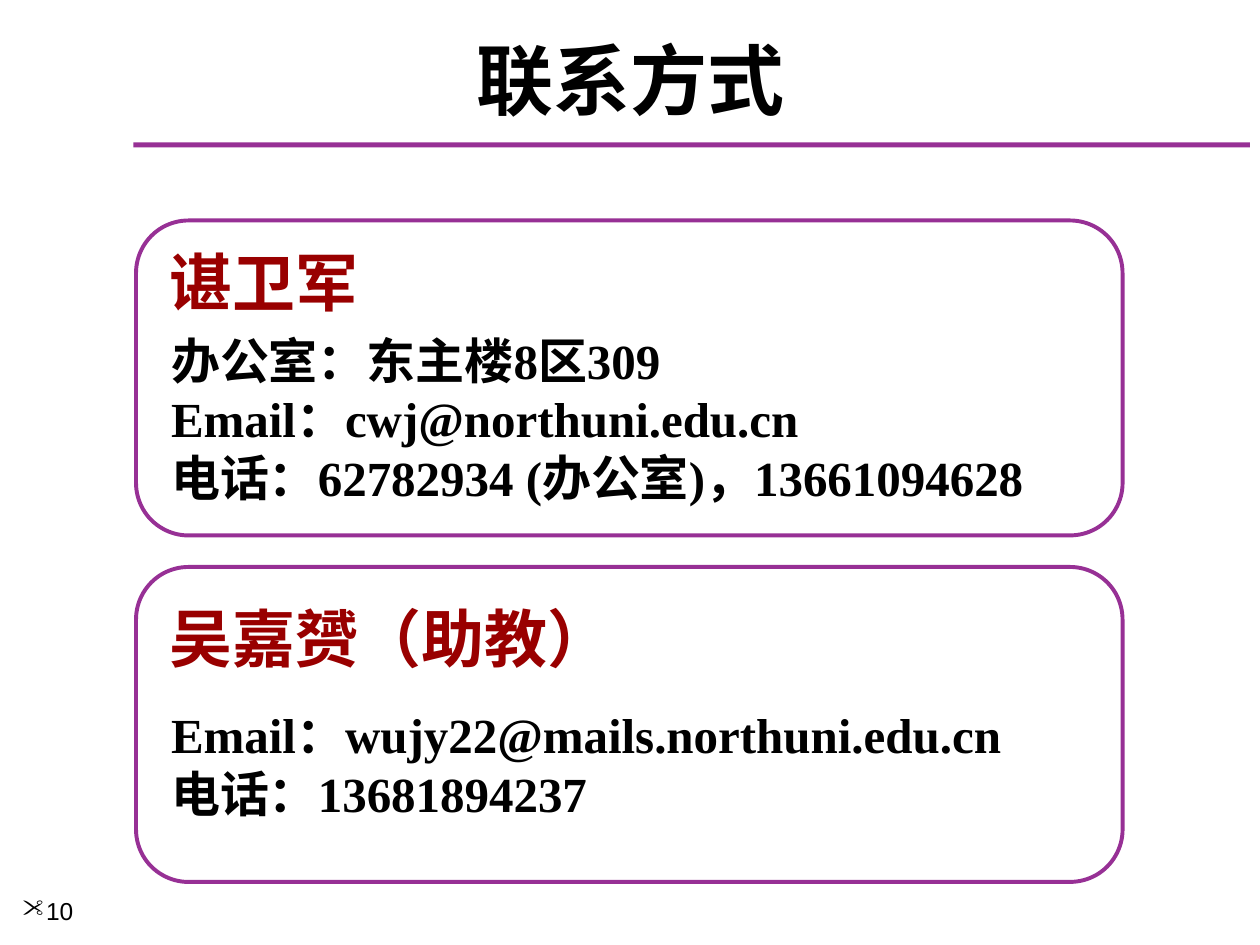
from lxml.etree import SubElement
from pptx import Presentation
from pptx.dml.color import RGBColor
from pptx.enum.shapes import MSO_SHAPE
from pptx.enum.text import MSO_ANCHOR, PP_ALIGN
from pptx.oxml.ns import qn
from pptx.util import Inches, Pt

PURPLE, RED, BLACK, WHITE = "973095", "990000", "000000", "FFFFFF"
CJK_FONT = "Noto Sans CJK SC"


def rgb(color):
    return RGBColor.from_string(color)


def add_text(box, lines, font, size, color=BLACK, bold=True, wrap=True):
    """Add a text box at box (left, top, width, height), one paragraph per line."""
    sp = s.shapes.add_textbox(*map(Inches, box))
    tf = sp.text_frame
    tf.word_wrap = wrap
    for i, line in enumerate(lines):
        p = tf.paragraphs[0] if i == 0 else tf.add_paragraph()
        r = p.add_run()
        r.text = line
        for name, value in {"name": font, "size": Pt(size), "bold": bold}.items():
            setattr(r.font, name, value)
        r.font.color.rgb = rgb(color)
        SubElement(r.font._element, qn("a:ea"), typeface=CJK_FONT)
    return sp


prs = Presentation()
prs.slide_width, prs.slide_height = Inches(10), Inches(7.5)
s = prs.slides.add_slide(prs.slide_layouts[6])

# Title and the rule below it
rule = s.shapes.add_shape(MSO_SHAPE.RECTANGLE, Inches(1.06), Inches(1.13),
                          Inches(8.86), Inches(0.04))
rule.shadow.inherit = False
rule.fill.solid()
rule.fill.fore_color.rgb = rgb(PURPLE)
rule.line.fill.background()

title = add_text((0.17, 0.25, 9.67, 0.75), ["联系方式"], CJK_FONT, 44)
title.text_frame.vertical_anchor = MSO_ANCHOR.MIDDLE
title.text_frame.paragraphs[0].alignment = PP_ALIGN.CENTER

# Slide number with a scissors bullet
number = add_text((0.08, 7.06, 1.08, 0.44), ["10"], "Arial", 14, bold=False)
pPr = number.text_frame.paragraphs[0]._p.get_or_add_pPr()
SubElement(pPr, qn("a:buFont"), typeface="Wingdings")
SubElement(pPr, qn("a:buChar"), char='"')

# Contact cards: frame top, name box, details box, name, details
contacts = [
    (1.75, (1.25, 1.88, 1.72, 0.71), (1.26, 2.57, 7.57, 1.51), "谌卫军",
     ["办公室：东主楼8区309",
      "Email：cwj@northuni.edu.cn",
      "电话：62782934 (办公室)，13661094628"]),
    (4.5, (1.25, 4.71, 3.75, 0.71), (1.26, 5.54, 7.57, 1.04), "吴嘉赟（助教）",
     ["Email：wujy22@mails.northuni.edu.cn",
      "电话：13681894237"]),
]
for top, name_box, details_box, name, details in contacts:
    sp = add_text(name_box, [name], "Times New Roman", 36, RED, wrap=False)
    sp.fill.solid()
    sp.fill.fore_color.rgb = rgb(WHITE)
    add_text(details_box, details, "Times New Roman", 28)

    frame = s.shapes.add_shape(MSO_SHAPE.ROUNDED_RECTANGLE, Inches(1.08),
                               Inches(top), Inches(7.83), Inches(2.5))
    frame.shadow.inherit = False
    frame.fill.background()
    frame.line.color.rgb = rgb(PURPLE)
    frame.line.width = Pt(2.25)

prs.save("out.pptx")
